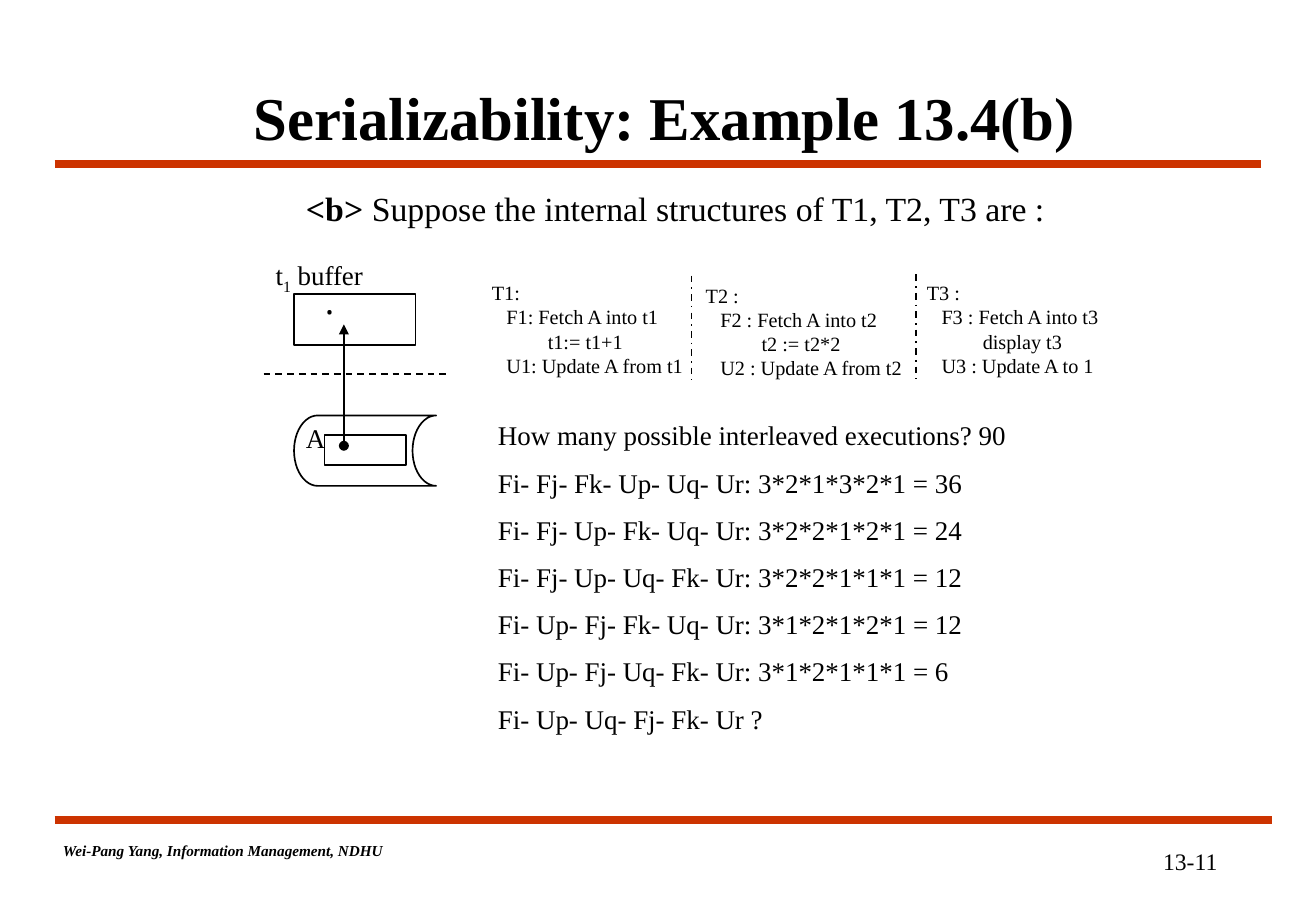
from pptx import Presentation
from pptx.dml.color import RGBColor
from pptx.enum.dml import MSO_LINE
from pptx.enum.shapes import MSO_CONNECTOR, MSO_SHAPE
from pptx.enum.text import MSO_ANCHOR, PP_ALIGN
from pptx.oxml.ns import qn
from pptx.util import Inches, Pt
from lxml import etree

BLACK = RGBColor(0x00, 0x00, 0x00)
WHITE = RGBColor(0xFF, 0xFF, 0xFF)
RULE_RED = RGBColor(0xCC, 0x33, 0x00)
FONT = "Times New Roman"
LEFT, CENTER = PP_ALIGN.LEFT, PP_ALIGN.CENTER
MIDDLE = MSO_ANCHOR.MIDDLE
STRAIGHT = MSO_CONNECTOR.STRAIGHT
DASH, DASH_DOT = MSO_LINE.DASH, MSO_LINE.DASH_DOT
PROCESS = MSO_SHAPE.FLOWCHART_PROCESS
STORAGE = MSO_SHAPE.FLOWCHART_STORED_DATA
RECTANGLE = MSO_SHAPE.RECTANGLE

presentation = Presentation()
presentation.slide_width = Inches(10.83)
presentation.slide_height = Inches(7.5)
slide = presentation.slides.add_slide(presentation.slide_layouts[6])


def add_text(left, top, width, height, paragraphs, size, align=LEFT, gap=0):
    box = slide.shapes.add_textbox(Inches(left), Inches(top), Inches(width), Inches(height))
    text_frame = box.text_frame
    text_frame.word_wrap = True
    for index, runs in enumerate(paragraphs):
        paragraph = text_frame.add_paragraph() if index else text_frame.paragraphs[0]
        paragraph.alignment = align
        if index:
            paragraph.space_before = Pt(gap)
        for text in runs:
            run = paragraph.add_run()
            run.text = text
            run.font.name = FONT
            run.font.size = Pt(size)
            run.font.color.rgb = BLACK
    return text_frame


def add_line(x1, y1, x2, y2, color=BLACK, width=1, dash=None):
    line = slide.shapes.add_connector(STRAIGHT, Inches(x1), Inches(y1), Inches(x2), Inches(y2))
    line.line.color.rgb = color
    line.line.width = Pt(width)
    if dash:
        line.line.dash_style = dash
    etree.SubElement(line._element.spPr, qn("a:effectLst"))
    return line


add_line(0.45, 6.75, 10.47, 6.75, RULE_RED, 4.5)
add_line(0.45, 1.35, 10.38, 1.35, RULE_RED, 4.5)
add_text(9.45, 6.92, 0.69, 0.34, [["13-11"]], 14, CENTER)
footer = add_text(0.42, 6.88, 3.23, 0.25, [["Wei-Pang Yang, Information Management, NDHU"]], 9)
footer_font = footer.paragraphs[0].runs[0].font
footer_font.bold = True
footer_font.italic = True

title = add_text(1, 0.67, 8.94, 0.58, [["Serializability: Example 13.4(b)"]], 36, CENTER)
title.vertical_anchor = MIDDLE
title.paragraphs[0].runs[0].font.bold = True

intro_runs = ["<b>", " Suppose the internal structures of T1, T2, T3 are :"]
intro = add_text(2.42, 1.5, 6.83, 0.93, [intro_runs], 20)
intro.paragraphs[0].runs[0].font.bold = True

transactions = [
    (3.95, 2.26, 1.8, ["T1:", "F1: Fetch A into t1", "t1:= t1+1", "U1: Update A from t1"]),
    (5.71, 2.28, 1.84, ["T2 :", "F2 : Fetch A into t2", "t2 := t2*2", "U2 : Update A from t2"]),
    (7.53, 2.26, 1.64, ["T3 :", "F3 : Fetch A into t3", "display t3", "U3 : Update A to 1"]),
]
step_indents = [0, 0.12, 0.46, 0.12]
for left, top, width, steps in transactions:
    transaction = add_text(left, top, width, 0.9, [[step] for step in steps], 12)
    for paragraph, indent in zip(transaction.paragraphs, step_indents):
        paragraph._p.get_or_add_pPr().set("marL", str(Inches(indent)))

for x, top in [(5.69, 2.27), (7.54, 2.26)]:
    add_line(x, top, x, top + 0.86, dash=DASH_DOT)

executions = [
    "How many possible interleaved executions? 90",
    "Fi- Fj- Fk- Up- Uq- Ur: 3*2*1*3*2*1 = 36",
    "Fi- Fj- Up- Fk- Uq- Ur: 3*2*2*1*2*1 = 24",
    "Fi- Fj- Up- Uq- Fk- Ur: 3*2*2*1*1*1 = 12",
    "Fi- Up- Fj- Fk- Uq- Ur: 3*1*2*1*2*1 = 12",
    "Fi- Up- Fj- Uq- Fk- Ur: 3*1*2*1*1*1 = 6",
    "Fi- Up- Uq- Fj- Fk- Ur ?",
]
add_text(4, 3.4, 4.4, 2.77, [[execution] for execution in executions], 16, gap=8.8)

for kind, left, top, width, height in [
    (PROCESS, 2.42, 2.42, 1, 0.42),
    (STORAGE, 2.42, 3.42, 1.17, 0.58),
    (RECTANGLE, 2.67, 3.58, 0.67, 0.25),
]:
    shape = slide.shapes.add_shape(kind, Inches(left), Inches(top), Inches(width), Inches(height))
    shape.shadow.inherit = False
    shape.fill.solid()
    shape.fill.fore_color.rgb = WHITE
    shape.line.color.rgb = BLACK
    shape.line.width = Pt(1)

buffer_label = add_text(2.17, 2.08, 1.08, 0.37, [["t", "1", " buffer"]], 16)
buffer_label.paragraphs[0].runs[1].font._element.set("baseline", "-25000")
add_line(2.17, 3.08, 3.67, 3.08, dash=DASH)
add_text(2.42, 3.42, 0.33, 0.37, [["A"]], 16)
add_text(2.58, 2.33, 0.33, 0.43, [["‧"]], 20)

fetch_arrow = add_line(2.83, 3.67, 2.83, 2.67)
arrow_outline = fetch_arrow.line._get_or_add_ln()
etree.SubElement(arrow_outline, qn("a:headEnd"), type="oval")
etree.SubElement(arrow_outline, qn("a:tailEnd"), type="triangle")

presentation.save("out.pptx")
